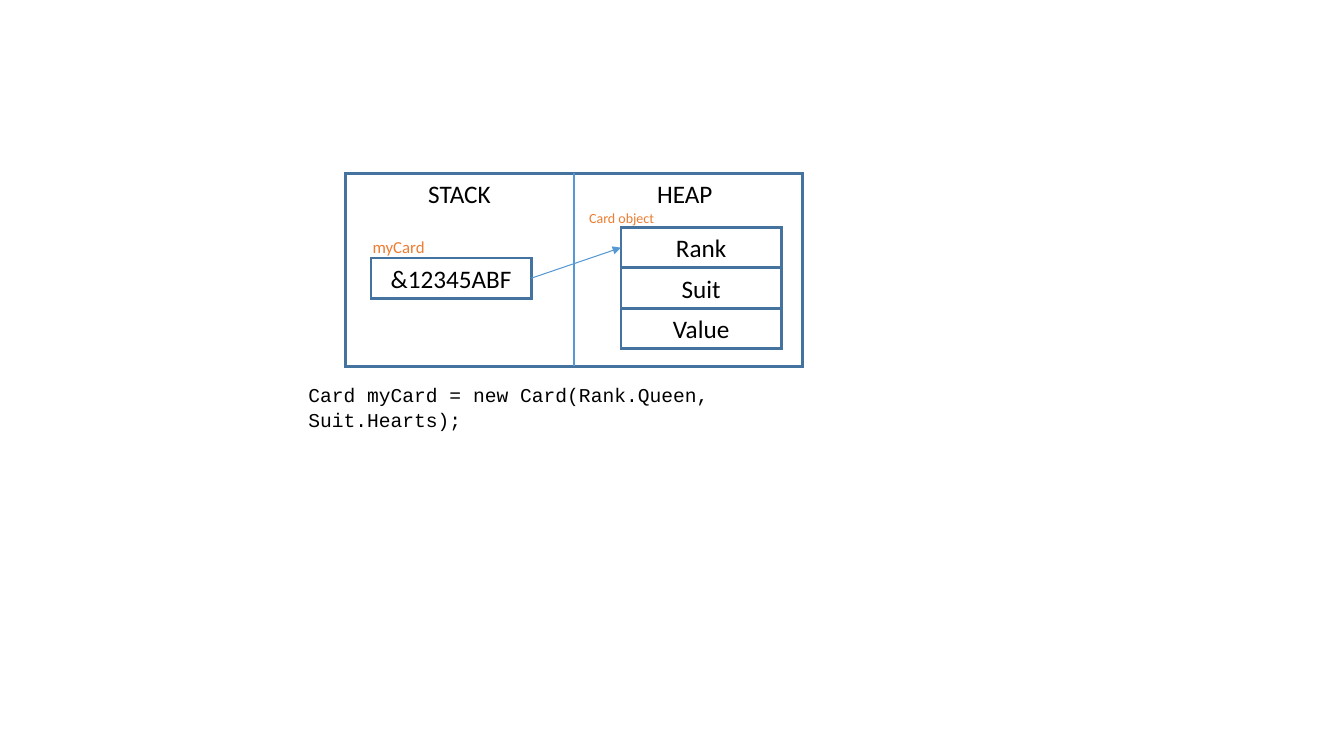
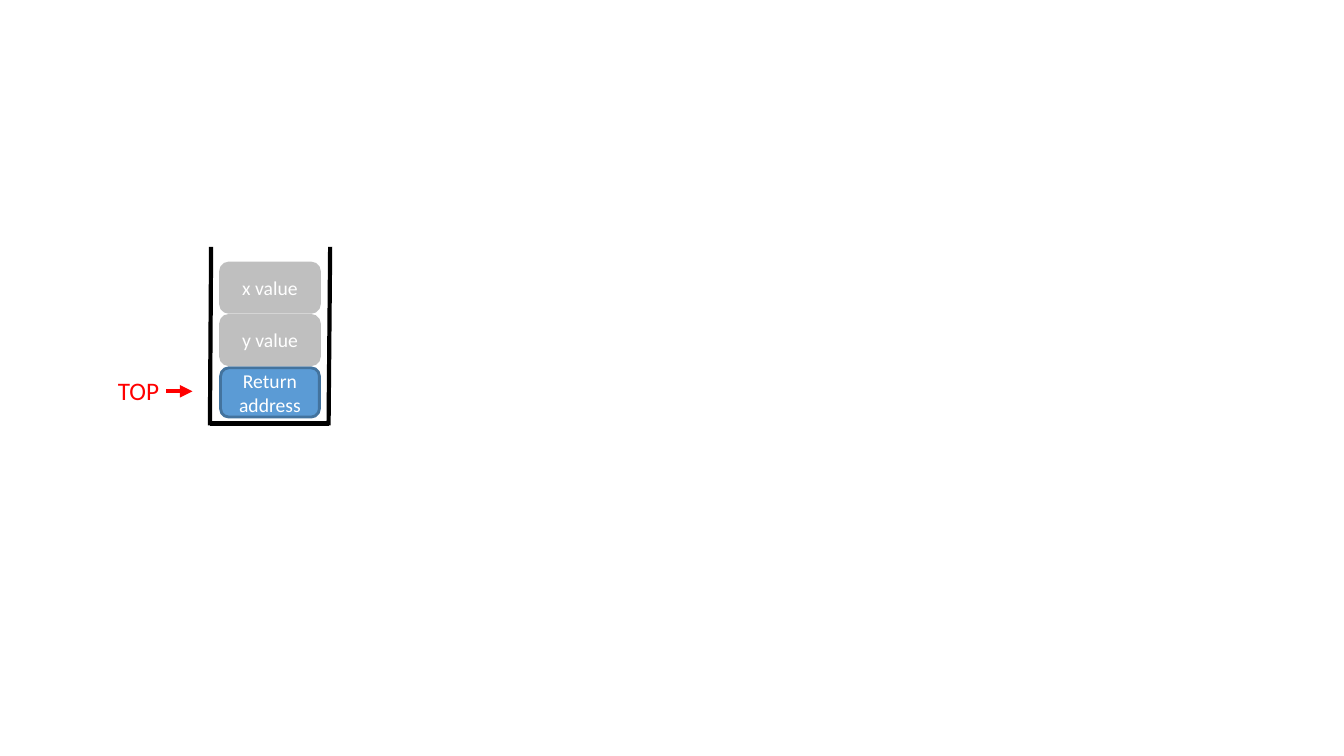
"""Build two memory diagrams: a card object on the heap and a call stack."""
from dataclasses import dataclass

from lxml.etree import SubElement
from pptx import Presentation
from pptx.dml.color import RGBColor
from pptx.enum.shapes import MSO_CONNECTOR as Connector, MSO_SHAPE as Preset
from pptx.enum.text import MSO_ANCHOR as Anchor, PP_ALIGN as Align
from pptx.oxml.ns import qn
from pptx.util import Cm, Pt


@dataclass(frozen=True)
class Theme:
    """Colours, fonts, type sizes and line widths."""
    white: str = "FFFFFF"
    black: str = "000000"
    border: str = "43739E"
    pointer: str = "5698D3"
    accent: str = "ED7D31"
    active: str = "5B9BD5"
    waiting: str = "BFBFBF"
    marker: str = "FF0000"
    font: str = "Calibri"
    code_font: str = "Courier New"
    large: int = 18
    code: int = 14
    label: int = 12
    small: int = 10
    thin: float = 0.75
    medium: float = 2
    thick: float = 3


THEME = Theme()
BLANK_LAYOUT = 6

FRAME = (8.71, 4.37, 11.51, 4.86)
CELL_SIZE = (4.04, 1.02)
VARIABLE = ("&12345ABF", 9.35, 6.5)
FIELDS = ["Rank", "Suit", "Value"]
FIELDS_ORIGIN = (15.65, 5.73)
MEMORY_LABELS = [
    ("STACK", (10.54, 4.37, 2.6, 1.02), THEME.black, THEME.large),
    ("HEAP", (16.31, 4.37, 2.6, 1.02), THEME.black, THEME.large),
    ("myCard", (9.14, 5.84, 2.6, 0.76), THEME.accent, THEME.label),
    ("Card object", (14.6, 5.16, 2.6, 0.69), THEME.accent, THEME.small),
]
CODE = "Card myCard = new Card(Rank.Queen, Suit.Hearts);"
CODE_BOX = (7.52, 9.5, 13.4, 1.4)

WALLS = [
    ((5.32, 6.22), (5.29, 10.72)),
    ((8.32, 6.22), (8.28, 10.72)),
    ((5.3, 10.67), (8.3, 10.67)),
]
ENTRIES = [
    ("x value", THEME.waiting, THEME.waiting),
    ("y value", THEME.waiting, THEME.waiting),
    ("Return address", THEME.active, THEME.border),
]
ENTRIES_ORIGIN = (5.56, 6.63)
ENTRY_SIZE = (2.49, 1.24)
ENTRY_PITCH = 1.32
TOP_BOX = (2.72, 9.34, 2, 1.02)
TOP_ARROW = ((4.19, 9.86), (4.85, 9.86))


def write_text(shape, text, color=THEME.black, size=THEME.large, font=THEME.font,
               align=Align.LEFT, anchor=Anchor.TOP, spacing=1.0):
    """Put one formatted paragraph in a shape."""
    frame = shape.text_frame
    frame.word_wrap = True
    frame.vertical_anchor = anchor
    paragraph = frame.paragraphs[0]
    paragraph.alignment = align
    paragraph.line_spacing = spacing
    run = paragraph.add_run()
    run.text = text
    run.font.name = font
    run.font.size = Pt(size)
    run.font.color.rgb = RGBColor.from_string(color)


def add_label(slide, text, box, **text_format):
    """Add a text box."""
    write_text(slide.shapes.add_textbox(*map(Cm, box)), text, **text_format)


def add_box(slide, box, text="", preset=Preset.RECTANGLE, fill=THEME.white,
            line=THEME.border, **text_format):
    """Add an outlined box with mitred corners and optional centred text."""
    shape = slide.shapes.add_shape(preset, *map(Cm, box))
    shape.shadow.inherit = False
    shape.fill.solid()
    shape.fill.fore_color.rgb = RGBColor.from_string(fill)
    shape.line.color.rgb = RGBColor.from_string(line)
    shape.line.width = Pt(THEME.medium)
    SubElement(shape.line._get_or_add_ln(), qn("a:miter"), lim="800000")
    if text:
        write_text(shape, text, align=Align.CENTER, anchor=Anchor.MIDDLE, **text_format)
    return shape


def add_line(slide, start, end, color, width, arrow=False):
    """Add a straight line, with an arrowhead at its end if wanted."""
    connector = slide.shapes.add_connector(Connector.STRAIGHT, *map(Cm, start + end))
    connector.line.color.rgb = RGBColor.from_string(color)
    connector.line.width = Pt(width)
    if arrow:
        SubElement(connector.line._get_or_add_ln(), qn("a:tailEnd"), type="triangle")
    SubElement(connector._element.spPr, qn("a:effectLst"))
    return connector


def build_memory(slide):
    """Draw the variable on the stack and its object on the heap."""
    left, top, width, height = FRAME
    middle = left + width / 2
    add_box(slide, FRAME)
    add_line(slide, (middle, top), (middle, top + height), THEME.pointer, THEME.thin)
    text, *origin = VARIABLE
    variable = add_box(slide, (*origin, *CELL_SIZE), text)
    field_left, field_top = FIELDS_ORIGIN
    fields = [
        add_box(slide, (field_left, field_top + row * CELL_SIZE[1], *CELL_SIZE), name)
        for row, name in enumerate(FIELDS)
    ]
    pointer = add_line(slide, (0, 0), (1, 1), THEME.pointer, THEME.thin, arrow=True)
    pointer.begin_connect(variable, 3)
    pointer.end_connect(fields[0], 1)
    for text, box, color, size in MEMORY_LABELS:
        add_label(slide, text, box, color=color, size=size)
    add_label(slide, CODE, CODE_BOX, size=THEME.code, font=THEME.code_font, spacing=1.05)


def build_call_stack(slide):
    """Draw the open container, its entries and the top marker."""
    for start, end in WALLS:
        add_line(slide, start, end, THEME.black, THEME.thick)
    left, top = ENTRIES_ORIGIN
    for row, (text, fill, line) in reversed(list(enumerate(ENTRIES))):
        add_box(slide, (left, top + row * ENTRY_PITCH, *ENTRY_SIZE), text,
                preset=Preset.ROUNDED_RECTANGLE, fill=fill, line=line,
                color=THEME.white, size=THEME.code)
    add_label(slide, "TOP", TOP_BOX, color=THEME.marker)
    add_line(slide, *TOP_ARROW, THEME.marker, THEME.thick, arrow=True)


def main():
    """Build and save the presentation."""
    presentation = Presentation()
    presentation.slide_width = Cm(33.87)
    presentation.slide_height = Cm(19.05)
    for build in (build_memory, build_call_stack):
        build(presentation.slides.add_slide(presentation.slide_layouts[BLANK_LAYOUT]))
    presentation.save("out.pptx")


if __name__ == "__main__":
    main()
